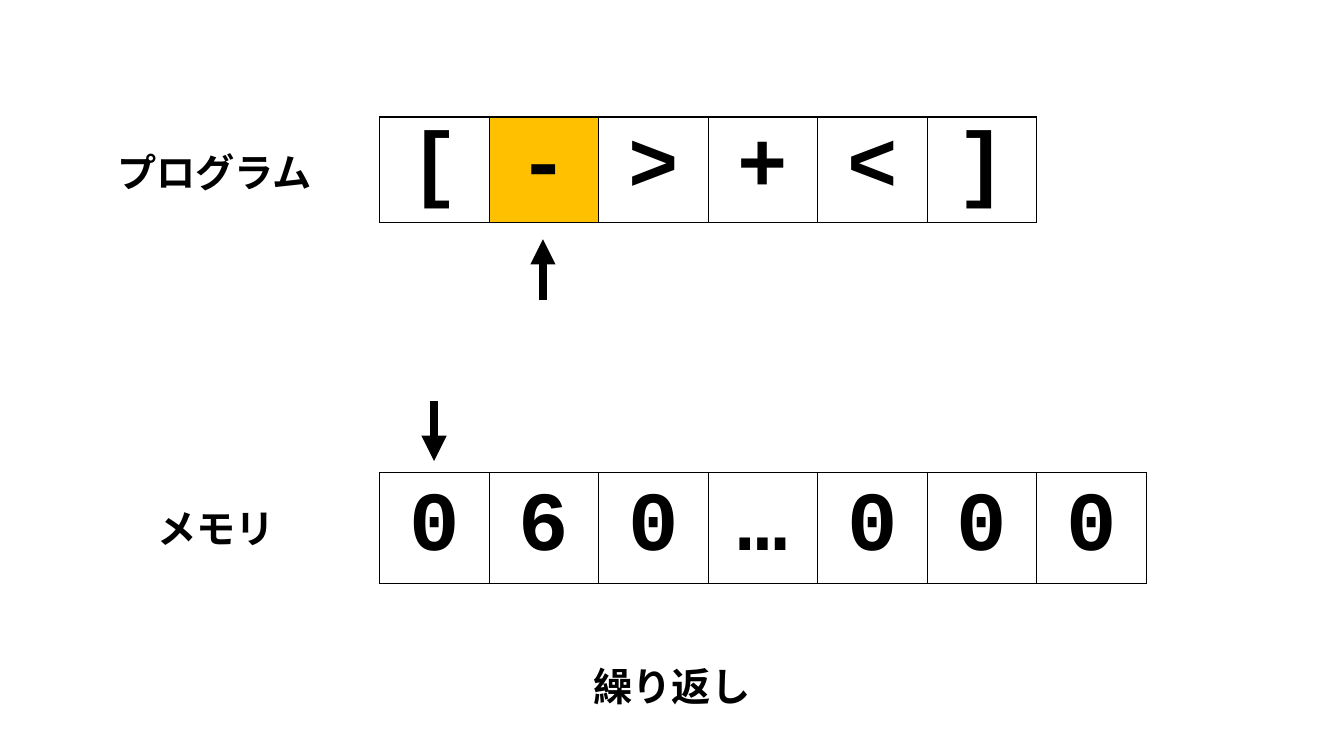
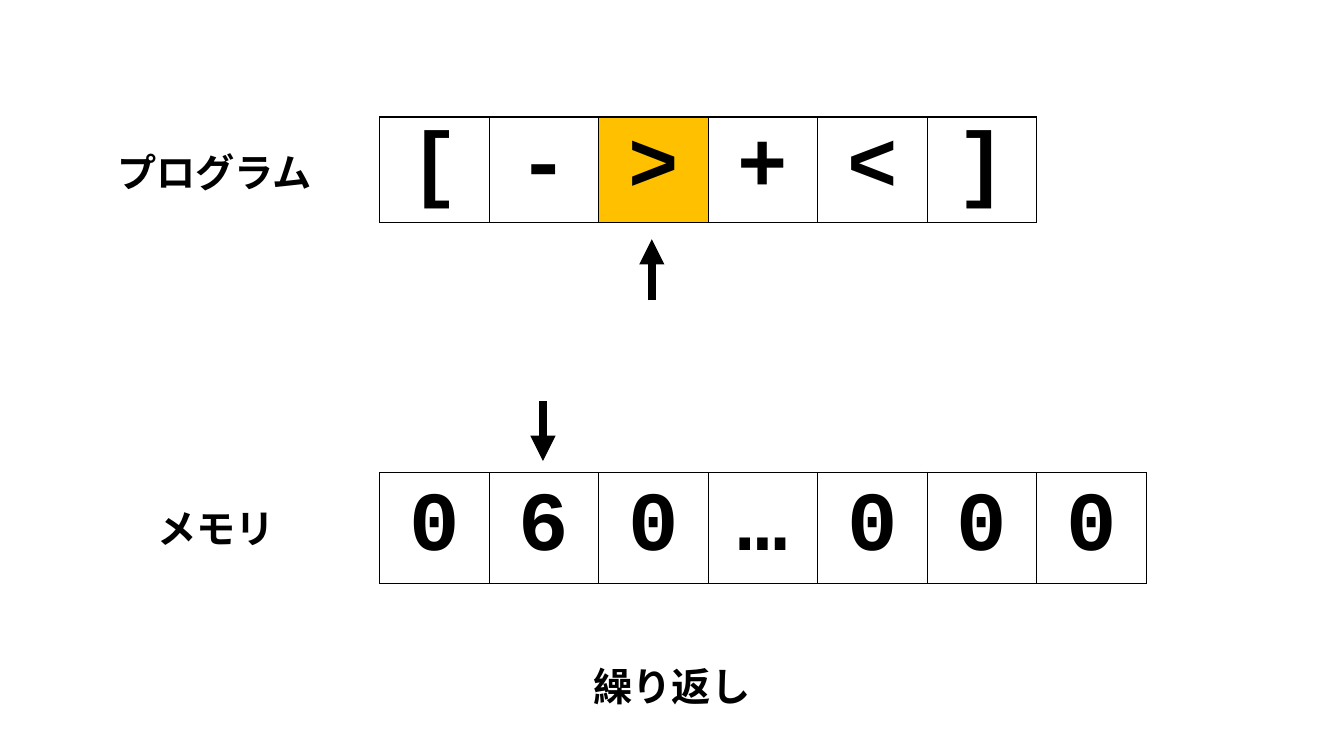
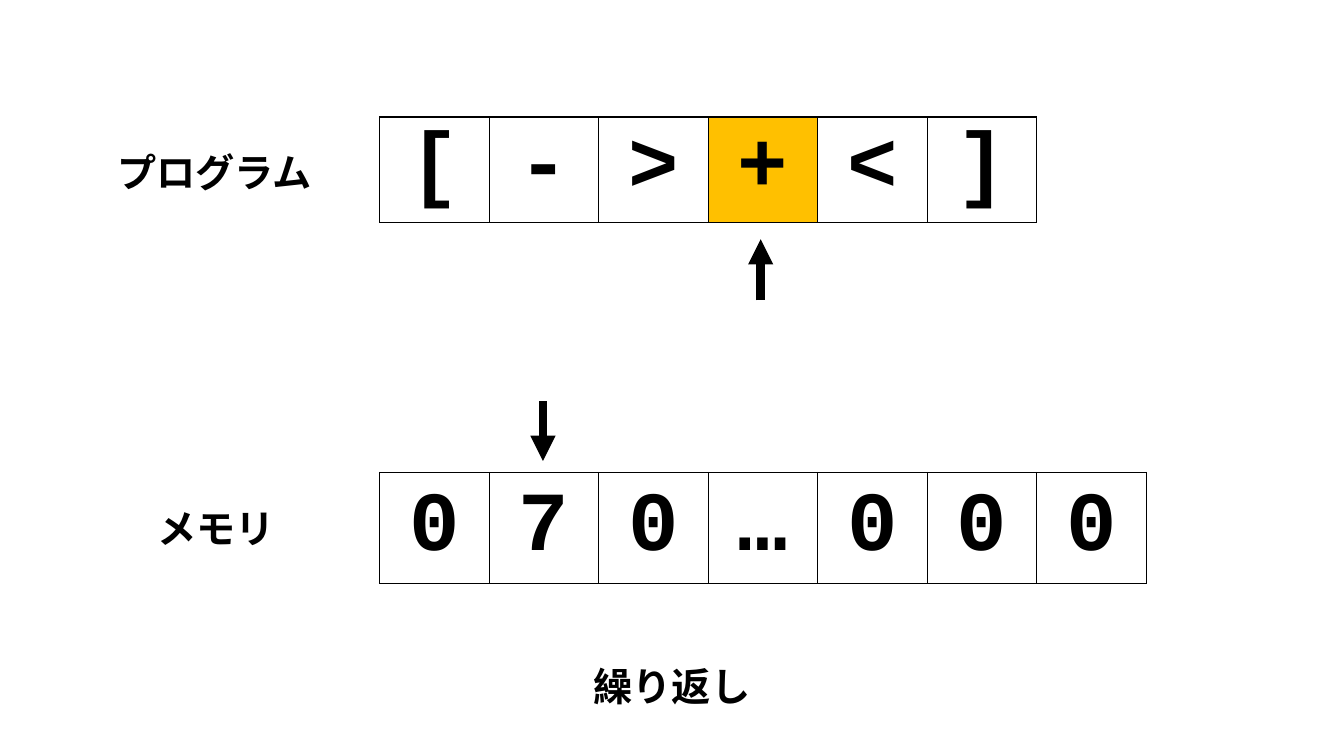
"""Builds three steps of a loop run: program cells, memory cells and their pointers."""
from dataclasses import dataclass

from lxml import etree
from pptx import Presentation
from pptx.dml.color import RGBColor
from pptx.enum.shapes import MSO_CONNECTOR
from pptx.enum.text import MSO_ANCHOR, MSO_AUTO_SIZE, PP_ALIGN
from pptx.oxml.ns import qn
from pptx.slide import Slide
from pptx.text.text import _Paragraph
from pptx.util import Emu, Pt

STRAIGHT = MSO_CONNECTOR.STRAIGHT
MIDDLE = MSO_ANCHOR.MIDDLE
GROW = MSO_AUTO_SIZE.SHAPE_TO_FIT_TEXT
LEFT, CENTER = PP_ALIGN.LEFT, PP_ALIGN.CENTER

BLACK = RGBColor(0x00, 0x00, 0x00)
WHITE = RGBColor(0xFF, 0xFF, 0xFF)
HIGHLIGHT = RGBColor(0xFF, 0xC0, 0x00)
CODE_FONT, LABEL_FONT = "Courier New", "Noto Sans CJK JP"
CODE_SIZE, LABEL_SIZE = Pt(60), Pt(28)
BORDER_WIDTH, ARROW_WIDTH = Pt(1), Pt(6)

EMU_PER_PX = 6096
SLIDE_WIDTH, SLIDE_HEIGHT = 2000, 1125
CELL_WIDTH, CELL_HEIGHT = 163, 156
CELLS_LEFT = 565
ARROW_LEFT, ARROW_STEP = 646, 162
LABEL_HEIGHT = 86
BLANK_LAYOUT = 6


@dataclass(frozen=True)
class Label:
    """A line of text; lengths in px."""

    text: str
    left: int
    top: int
    width: int
    align: PP_ALIGN = LEFT
    wrap: bool = False


@dataclass(frozen=True)
class Strip:
    """A row of cells with its label and the span of its pointer arrow."""

    label: Label
    top: int
    arrow_start: int
    arrow_end: int


@dataclass(frozen=True)
class Step:
    """One state of the machine."""

    instruction: int
    address: int
    memory: str


PROGRAM = "[->+<]"
PROGRAM_STRIP = Strip(Label("プログラム", 160, 214, 326), 174, 447, 356)
MEMORY_STRIP = Strip(Label("メモリ", 219, 743, 207), 703, 597, 686)
CAPTION = Label("繰り返し", 140, 978, 1720, CENTER, True)
STEPS = (
    Step(1, 0, "060…000"),
    Step(2, 1, "060…000"),
    Step(3, 1, "070…000"),
)


def px(length: int) -> Emu:
    """Turn px into EMU."""
    return Emu(length * EMU_PER_PX)


def write(paragraph: _Paragraph, text: str, font_name: str, size: Pt, align: PP_ALIGN) -> None:
    """Fill a paragraph with bold black text, using one font for all scripts."""
    paragraph.text = text
    paragraph.alignment = align
    font = paragraph.font
    font.name, font.size, font.bold = font_name, size, True
    font.color.rgb = BLACK
    latin = font._element.find(qn("a:latin"))
    east_asian = etree.Element(qn("a:ea"), typeface=font_name)
    latin.addnext(east_asian)


def add_label(slide: Slide, label: Label) -> None:
    """Draw a label in a text box."""
    box = slide.shapes.add_textbox(px(label.left), px(label.top), px(label.width), px(LABEL_HEIGHT))
    frame = box.text_frame
    frame.word_wrap = label.wrap
    frame.auto_size = GROW
    write(frame.paragraphs[0], label.text, LABEL_FONT, LABEL_SIZE, label.align)


def add_borders(cell_properties: etree._Element) -> None:
    """Give a table cell a black line on each side."""
    for side in ("lnL", "lnR", "lnT", "lnB"):
        line = etree.SubElement(cell_properties, qn(f"a:{side}"), w=str(BORDER_WIDTH))
        fill = etree.SubElement(line, qn("a:solidFill"))
        etree.SubElement(fill, qn("a:srgbClr"), val=str(BLACK))


def add_cells(slide: Slide, symbols: str, top: int, highlighted: int | None) -> None:
    """Draw a one-row table with a symbol in each cell."""
    count = len(symbols)
    frame = slide.shapes.add_table(
        1, count, px(CELLS_LEFT), px(top), px(CELL_WIDTH * count), px(CELL_HEIGHT)
    )
    table = frame.table
    table.first_row = table.horz_banding = False
    for index, symbol in enumerate(symbols):
        table.columns[index].width = px(CELL_WIDTH)
        cell = table.cell(0, index)
        cell.vertical_anchor = MIDDLE
        add_borders(cell._tc.get_or_add_tcPr())
        cell.fill.solid()
        cell.fill.fore_color.rgb = HIGHLIGHT if index == highlighted else WHITE
        write(cell.text_frame.paragraphs[0], symbol, CODE_FONT, CODE_SIZE, CENTER)


def add_pointer(slide: Slide, strip: Strip, index: int) -> None:
    """Draw the arrow that points at a cell of a strip."""
    x = px(ARROW_LEFT + ARROW_STEP * index)
    arrow = slide.shapes.add_connector(STRAIGHT, x, px(strip.arrow_start), x, px(strip.arrow_end))
    arrow.line.width = ARROW_WIDTH
    arrow.line.color.rgb = BLACK
    etree.SubElement(arrow.line._get_or_add_ln(), qn("a:tailEnd"), type="triangle")
    etree.SubElement(arrow._element.spPr, qn("a:effectLst"))


def add_strip(
    slide: Slide, strip: Strip, symbols: str, pointer: int, highlighted: int | None = None
) -> None:
    """Draw the cells, label and pointer of a strip."""
    add_cells(slide, symbols, strip.top, highlighted)
    add_label(slide, strip.label)
    add_pointer(slide, strip, pointer)


def main() -> None:
    """Build and save the presentation."""
    presentation = Presentation()
    presentation.slide_width, presentation.slide_height = px(SLIDE_WIDTH), px(SLIDE_HEIGHT)
    for step in STEPS:
        slide = presentation.slides.add_slide(presentation.slide_layouts[BLANK_LAYOUT])
        add_strip(slide, PROGRAM_STRIP, PROGRAM, step.instruction, step.instruction)
        add_strip(slide, MEMORY_STRIP, step.memory, step.address)
        add_label(slide, CAPTION)
    presentation.save("out.pptx")


if __name__ == "__main__":
    main()
